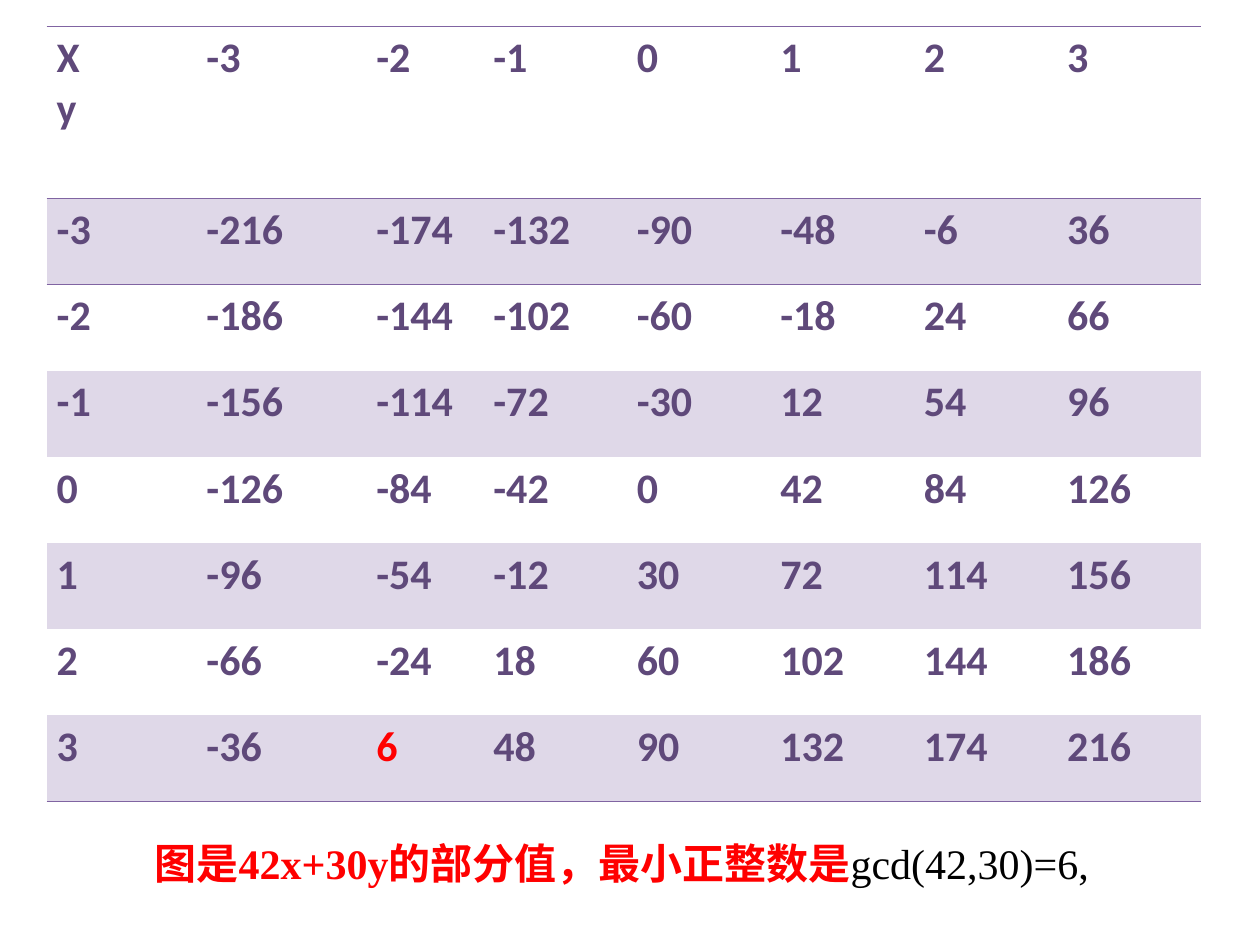
from dataclasses import dataclass

from lxml.etree import SubElement
from pptx import Presentation
from pptx.dml.color import RGBColor
from pptx.enum.text import MSO_AUTO_SIZE, PP_ALIGN
from pptx.oxml.ns import qn
from pptx.util import Inches, Pt


@dataclass(frozen=True)
class Theme:
    """Colours, fonts and sizes of the slide."""
    text: str = "5F497A"
    rule: str = "8064A2"
    band: str = "DFD8E8"
    accent: str = "FF0000"
    black: str = "000000"
    table_font: str = "Calibri"
    caption_font: str = "Times New Roman"
    size: float = 24
    rule_width: float = 0.45


THEME = Theme()
PLAIN_TABLE_STYLE = "{2D5ABB26-0587-4C30-8999-92F81FD0307C}"
X_FACTOR, Y_FACTOR, DIVISOR = 42, 30, 6
STEPS = range(-3, 4)
COLUMN_WIDTHS = [1.19, 1.35, 0.93] + [1.14] * 5
ROW_UNITS = [2] + [1] * len(STEPS)


def add_run(paragraph, text, *, font, color, bold=True, align=PP_ALIGN.JUSTIFY):
    """Append formatted text to a paragraph."""
    paragraph.alignment = align
    run = paragraph.add_run()
    run.text = text
    run.font.name = font
    run.font.size = Pt(THEME.size)
    run.font.bold = bold
    run.font.color.rgb = RGBColor.from_string(color)


def add_rule(cell, side):
    """Draw a thin rule on one side of a cell."""
    line = SubElement(cell._tc.get_or_add_tcPr(), qn(f"a:ln{side}"), w=str(Pt(THEME.rule_width)))
    fill = SubElement(line, qn("a:solidFill"))
    SubElement(fill, qn("a:srgbClr"), val=THEME.rule)


def format_cell(cell, lines, *, color, sides, banded):
    """Fill, rule and write one cell."""
    cell.margin_left = cell.margin_right = Inches(0.08)
    cell.margin_top = cell.margin_bottom = Inches(0.05)
    for side in sides:
        add_rule(cell, side)
    if banded:
        cell.fill.solid()
        cell.fill.fore_color.rgb = RGBColor.from_string(THEME.band)
    else:
        cell.fill.background()
    for index, line in enumerate(lines):
        paragraph = cell.text_frame.add_paragraph() if index else cell.text_frame.paragraphs[0]
        add_run(paragraph, line, font=THEME.table_font, color=color)


def table_values():
    """Return the header row and the rows of combination values."""
    header = [["X", "y"]] + [[str(x)] for x in STEPS]
    body = [[[str(y)]] + [[str(X_FACTOR * x + Y_FACTOR * y)] for x in STEPS] for y in STEPS]
    return [header] + body


def add_value_table(slide, left, top, width, height):
    """Place the table of combination values in the given box."""
    values = table_values()
    last = len(values) - 1
    table = slide.shapes.add_table(len(values), len(values[0]), left, top, width, height).table
    table.first_row = table.horz_banding = False
    table._tbl.tblPr.find(qn("a:tableStyleId")).text = PLAIN_TABLE_STYLE
    for column, share in zip(table.columns, COLUMN_WIDTHS):
        column.width = int(width * share / sum(COLUMN_WIDTHS))
    for row, units in zip(table.rows, ROW_UNITS):
        row.height = int(height * units / sum(ROW_UNITS))
    for row_index, row in enumerate(values):
        sides = ("T" if row_index <= 1 else "") + ("B" if row_index in (0, last) else "")
        for column_index, lines in enumerate(row):
            is_divisor = row_index and column_index and lines == [str(DIVISOR)]
            format_cell(table.cell(row_index, column_index), lines, sides=sides,
                        banded=row_index % 2 == 1,
                        color=THEME.accent if is_divisor else THEME.text)


def add_caption(slide, left, top, width, height):
    """Place the centred caption in the given box."""
    frame = slide.shapes.add_textbox(left, top, width, height).text_frame
    frame.word_wrap = False
    frame.auto_size = MSO_AUTO_SIZE.SHAPE_TO_FIT_TEXT
    paragraph = frame.paragraphs[0]
    add_run(paragraph, f"图是{X_FACTOR}x+{Y_FACTOR}y的部分值，最小正整数是",
            font=THEME.caption_font, color=THEME.accent, align=PP_ALIGN.CENTER)
    add_run(paragraph, f"gcd({X_FACTOR},{Y_FACTOR})={DIVISOR},", font=THEME.caption_font,
            color=THEME.black, bold=False, align=PP_ALIGN.CENTER)


def main():
    """Build and save the slide."""
    presentation = Presentation()
    presentation.slide_width, presentation.slide_height = Inches(10), Inches(7.5)
    slide = presentation.slides.add_slide(presentation.slide_layouts[6])
    add_value_table(slide, Inches(0.37), Inches(0.21), Inches(9.16), Inches(6.15))
    add_caption(slide, Inches(1.01), Inches(6.6), Inches(7.85), Inches(0.5))
    presentation.save("out.pptx")


if __name__ == "__main__":
    main()
